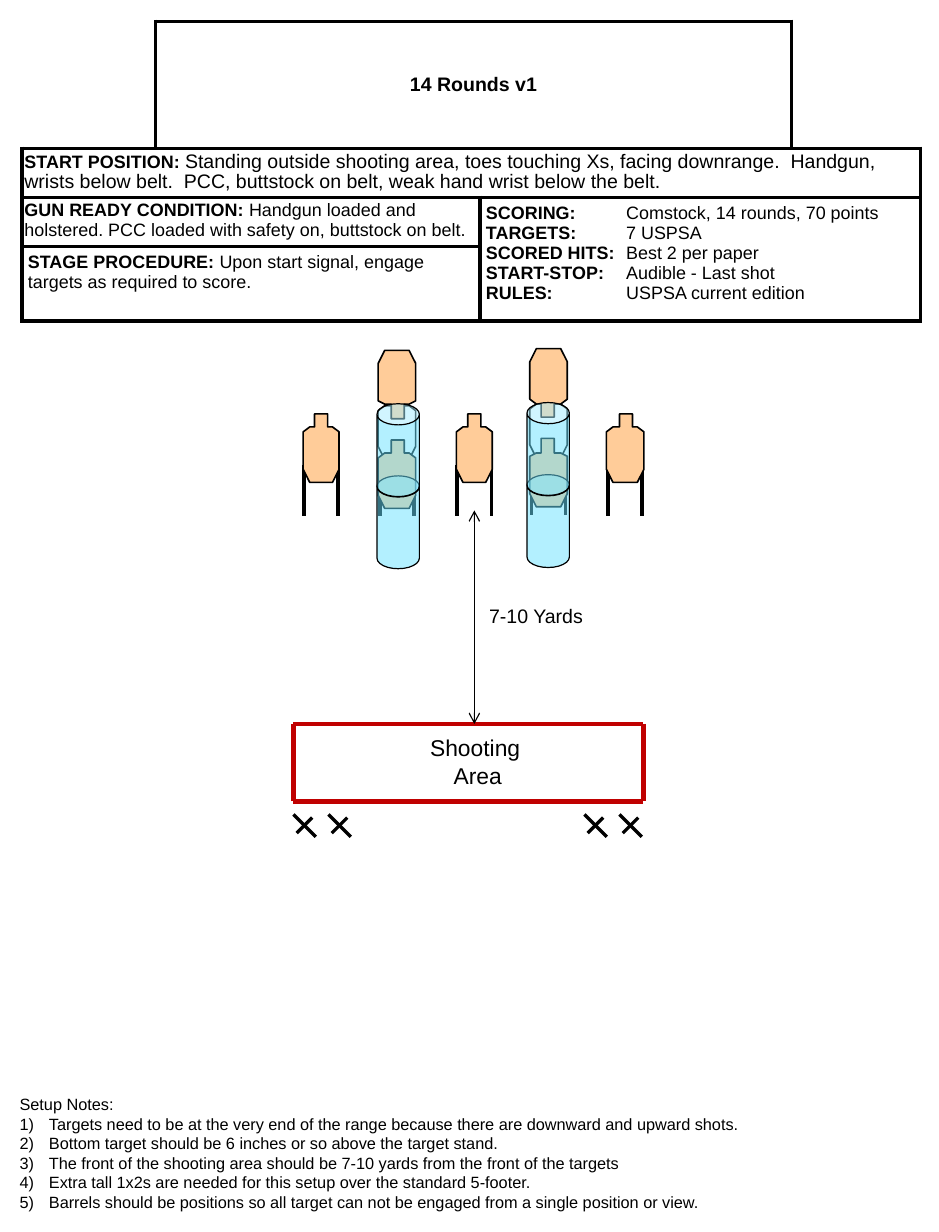
from lxml.etree import SubElement
from pptx import Presentation
from pptx.dml.color import RGBColor
from pptx.enum.shapes import MSO_CONNECTOR, MSO_SHAPE
from pptx.enum.text import MSO_ANCHOR, MSO_AUTO_SIZE, PP_ALIGN
from pptx.oxml.ns import qn
from pptx.util import Pt

BLACK, WHITE, RED, TAN, BLUE = "000000", "FFFFFF", "C00000", "FFCC99", "69E2FF"

COLS, ROWS = [82, 199, 191, 79], [78, 30, 30.5, 45.5]
# (row, col), (last row, last col), insets, paragraphs of (text, size, bold)
CELLS = [
    ((0, 1), (0, 2), (3.6, 3.6), [[("14 Rounds v1", 12, True)]]),
    ((1, 0), (1, 3), (1.5, 2.9), [[
        ("START POSITION: ", 11, True),
        ("Standing outside shooting area, toes touching Xs, facing downrange.  Handgun, "
         "wrists below belt.  PCC, buttstock on belt, weak hand wrist below the belt.",
         12, False)]]),
    ((2, 0), (2, 1), (1.5, 2.2), [[
        ("GUN READY CONDITION: ", 11, True),
        ("Handgun loaded and holstered. PCC loaded with safety on, buttstock on belt.",
         11, False)]]),
    ((2, 2), (3, 3), (3.6, 3.6), [[(key + "\t", 11, True), (val, 11, False)] for key, val in [
        ("SCORING:", "Comstock, 14 rounds, 70 points"),
        ("TARGETS:", "7 USPSA"),
        ("SCORED HITS:", "Best 2 per paper"),
        ("START-STOP:", "Audible - Last shot"),
        ("RULES:", "USPSA current edition")]]),
    ((3, 0), (3, 1), (3.6, 3.6), [[
        ("STAGE PROCEDURE: ", 11, True),
        ("Upon start signal, engage targets as required to score.", 11, False)]]),
]
NOTES = [
    "Setup Notes:",
    "Targets need to be at the very end of the range because there are downward and upward shots.",
    "Bottom target should be 6 inches or so above the target stand.",
    "The front of the shooting area should be 7-10 yards from the front of the targets",
    "Extra tall 1x2s are needed for this setup over the standard 5-footer.",
    "Barrels should be positions so all target can not be engaged from a single position or view.",
]
OUTLINE = [(7.25, 0), (15.25, 0), (15.25, 8.25), (18.5, 8.25), (22.5, 11), (22.5, 33.5),
           (18.5, 41.5), (4, 41.5), (0, 33.5), (0, 11), (4, 8.25), (7.25, 8.25)]
STANDS = [185.75, 279.75, 372.25]
TOWERS = [(232.25, 215.25, 231.25), (325.25, 214.5, 323.25)]
MARKS = [180, 201.5, 358.5, 380]
AREA = [(180, 444.25), (394.5, 444.25), (394.5, 491.75), (180, 491.75)]


def color(code):
    return RGBColor.from_string(code)


def add_line(x1, y1, x2, y2, width, code=BLACK):
    line = slide.shapes.add_connector(MSO_CONNECTOR.STRAIGHT, Pt(x1), Pt(y1), Pt(x2), Pt(y2))
    line.line.color.rgb = color(code)
    line.line.width = Pt(width)
    SubElement(line._element.spPr, qn("a:effectLst"))
    return line


def paint(shape, fill, width):
    shape.shadow.inherit = False
    shape.fill.solid()
    shape.fill.fore_color.rgb = color(fill)
    shape.line.color.rgb = color(BLACK)
    shape.line.width = Pt(width)


def add_target(x, y, fill=TAN, flip=False):
    pts = [(x + dx, y + (41.5 - dy if flip else dy)) for dx, dy in OUTLINE]
    form = slide.shapes.build_freeform(*pts[0], scale=float(Pt(1)))
    form.add_line_segments(pts[1:], close=True)
    paint(form.convert_to_shape(), fill, 1)


def add_legs(x, y):
    for dx in (0.75, 21.75):
        add_line(x + dx, y, x + dx, y + 31.5, 2.25)


def add_can(x, y):
    can = slide.shapes.add_shape(MSO_SHAPE.CAN, Pt(x), Pt(y), Pt(26), Pt(57))
    can.adjustments[0] = 0.5
    paint(can, BLUE, 0.75)
    tint = can._element.spPr.find(qn("a:solidFill"))[0]
    SubElement(tint, qn("a:alpha"), val="50000")


def style(run, size, bold=False):
    run.font.name = "Arial"
    run.font.size = Pt(size)
    run.font.bold = bold
    run.font.color.rgb = color(BLACK)


def add_text(x, y, w, h, lines, size, align=PP_ALIGN.LEFT):
    box = slide.shapes.add_textbox(Pt(x), Pt(y), Pt(w), Pt(h))
    frame = box.text_frame
    frame.word_wrap = False
    frame.auto_size = MSO_AUTO_SIZE.SHAPE_TO_FIT_TEXT
    frame.text = "\n".join(lines)
    for para in frame.paragraphs:
        para.alignment = align
        style(para.runs[0], size)
    return frame


def add_edges(cell, sides):
    props = cell._tc.get_or_add_tcPr()
    for spot, side in enumerate("LRTB"):
        edge = props.makeelement(qn("a:ln" + side), {"w": str(Pt(2.25))})
        props.insert(spot, edge)
        if side in sides:
            fill = SubElement(edge, qn("a:solidFill"))
            SubElement(fill, qn("a:srgbClr"), val=BLACK)
        else:
            SubElement(edge, qn("a:noFill"))


def fill_cell(cell, pad, paras):
    cell.margin_left = cell.margin_right = Pt(pad[0])
    cell.margin_top = cell.margin_bottom = Pt(pad[1])
    frame = cell.text_frame
    for spot, parts in enumerate(paras):
        para = frame.add_paragraph() if spot else frame.paragraphs[0]
        if "\t" in parts[0][0]:
            tabs = SubElement(para._p.get_or_add_pPr(), qn("a:tabLst"))
            SubElement(tabs, qn("a:tab"), pos=str(Pt(86)), algn="l")
        for text, size, bold in parts:
            run = para.add_run()
            run.text = text
            style(run, size, bold)


def add_grid():
    frame = slide.shapes.add_table(len(ROWS), len(COLS), Pt(13.5), Pt(13),
                                   Pt(sum(COLS)), Pt(sum(ROWS)))
    grid = frame.table
    grid.first_row = grid.horz_banding = False
    for col, width in zip(grid.columns, COLS):
        col.width = Pt(width)
    for row, height in zip(grid.rows, ROWS):
        row.height = Pt(height)
    for cell in grid.iter_cells():
        cell.fill.solid()
        cell.fill.fore_color.rgb = color(WHITE)
    for row in range(len(ROWS)):
        for col in range(len(COLS)):
            add_edges(grid.cell(row, col), {(0, 0): "RB", (0, 3): "LB"}.get((row, col), "LRTB"))
    for first, last, pad, paras in CELLS:
        cell = grid.cell(*first)
        cell.merge(grid.cell(*last))
        fill_cell(cell, pad, paras)
    title = grid.cell(0, 1)
    title.vertical_anchor = MSO_ANCHOR.MIDDLE
    title.text_frame.paragraphs[0].alignment = PP_ALIGN.CENTER
    grid.cell(1, 0).text_frame.paragraphs[0].line_spacing = 0.9


def main():
    add_grid()
    for start, end in zip(AREA, AREA[1:] + AREA[:1]):
        add_line(*start, *end, 3, RED)
    add_text(256.25, 447, 70.5, 41, ["Shooting", " Area"], 14, PP_ALIGN.CENTER)
    for x in MARKS:
        add_line(x + 13.75, 513.5, x, 499.75, 2)
        add_line(x + 11.5, 501.75, x + 2, 511.25, 2)
    for x in STANDS:
        add_legs(x, 285.25)
        add_target(x, 254.25)
    for x, y, left in TOWERS:
        add_legs(x, y + 70)
        add_target(x, y + 25.25, WHITE)
        add_target(x, y + 54.75)
        add_target(x, y, flip=True)
        add_can(left, y + 76.75)
        add_can(left, y + 32.5)
    arrow = add_line(291, 313.25, 291, 444.25, 0.75)
    ends = arrow.line._get_or_add_ln()
    for name in ("a:headEnd", "a:tailEnd"):
        SubElement(ends, qn(name), type="arrow")
    add_text(293, 367.25, 72.75, 21.5, ["7-10 Yards"], 12)
    notes = add_text(5, 668, 458.75, 80, NOTES, 10)
    for para in notes.paragraphs[1:]:
        props = para._p.get_or_add_pPr()
        props.set("marL", str(Pt(18)))
        props.set("indent", str(-Pt(18)))
        SubElement(props, qn("a:buFont"), typeface="+mj-lt")
        SubElement(props, qn("a:buAutoNum"), type="arabicParenR")


deck = Presentation()
deck.slide_width, deck.slide_height = Pt(576), Pt(756)
slide = deck.slides.add_slide(deck.slide_layouts[6])

if __name__ == "__main__":
    """Build the stage sheet."""
    main()
    deck.save("out.pptx")
